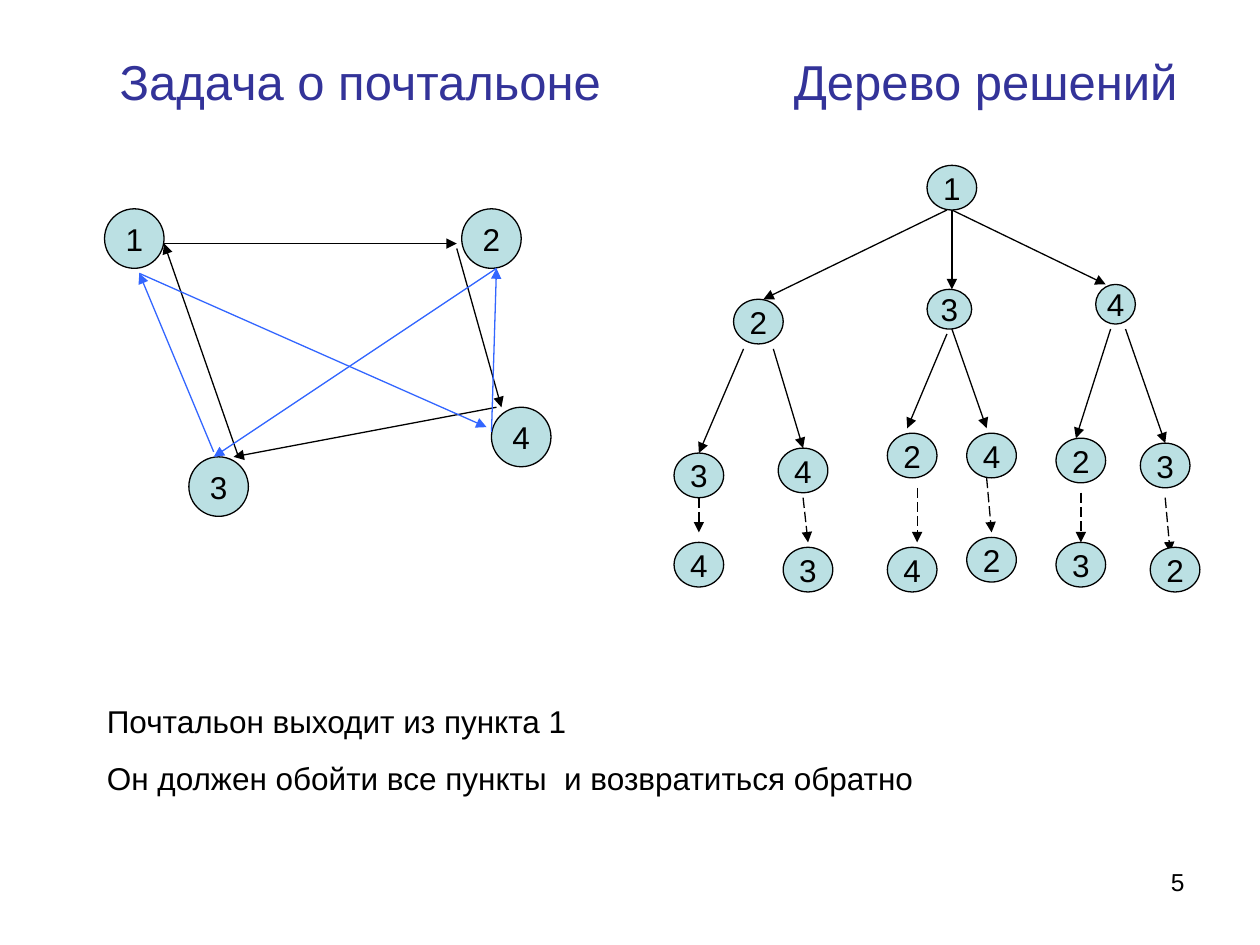
from lxml import etree
from pptx import Presentation
from pptx import util as u
from pptx.dml import color
from pptx.enum import dml, shapes, text
from pptx.oxml import ns

WIDTH, HEIGHT = u.Inches(10), u.Inches(7.5)
CELL = WIDTH / 254
BLACK, BLUE, NAVY, AQUA = "000000", "3366FF", "333399", "BBE0E3"

GRAPH_NODES = [("1", 0, 0), ("2", 72, 0), ("3", 17, 50), ("4", 78, 40)]
GRAPH_ROUTES = {
    BLACK: [(12, 7, 71, 7), (71, 8, 80, 40), (79, 40, 26, 50), (27, 50, 12, 7)],
    BLUE: [(7, 13, 77, 44), (78, 45, 79, 12), (79, 12, 22, 50), (22, 49, 7, 13)],
}
TREE_NODES = [
    ("1", 51, 0, 10, 9),
    ("2", 12, 27, 10, 9), ("3", 51, 25, 9, 8), ("4", 85, 24, 8, 8),
    ("3", 0, 58, 10, 9), ("4", 21, 57, 10, 9), ("2", 43, 54, 10, 9),
    ("4", 59, 54, 10, 9), ("2", 77, 55, 10, 9), ("3", 94, 56, 10, 9),
    ("4", 0, 76, 10, 9), ("3", 22, 77, 10, 9), ("4", 43, 77, 10, 9),
    ("2", 59, 75, 10, 9), ("3", 77, 76, 10, 9), ("2", 96, 77, 10, 9),
]
TREE_BRANCHES = [
    (55, 9, 18, 27), (56, 9, 56, 25), (56, 9, 87, 24),
    (14, 37, 5, 58), (20, 37, 26, 57), (55, 34, 47, 53),
    (56, 33, 63, 53), (88, 33, 81, 55), (91, 33, 99, 56),
]
TREE_LAST_STEPS = [
    (5, 67, 5, 74), (26, 67, 27, 76), (49, 65, 49, 76),
    (63, 63, 64, 74), (82, 66, 82, 76), (99, 67, 100, 78),
]


def rgb(value):
    """Return the colour for a hex string."""
    return color.RGBColor.from_string(value)


def share(x, y, w, h):
    """Return a box given as shares of the slide's size."""
    return [round(v) for v in (x * WIDTH, y * HEIGHT, w * WIDTH, h * HEIGHT)]


def assign(obj, values):
    """Set attributes of an object from a dict."""
    for name, value in values.items():
        setattr(obj, name, value)


def write(p, words, size, hue=BLACK, **fmt):
    """Write one formatted run into a paragraph."""
    r = p.add_run()
    r.text = words
    assign(r.font, {"name": "Arial", "size": u.Pt(size), "bold": False})
    r.font.color.rgb = rgb(hue)
    assign(p, fmt)


def add_node(s, origin, label, col, row, cols, rows):
    """Place a numbered point on the grid that starts at origin."""
    left, top = origin
    sp = s.shapes.add_shape(
        shapes.MSO_SHAPE.FLOWCHART_CONNECTOR, round(left + col * CELL),
        round(top + row * CELL), round(cols * CELL), round(rows * CELL))
    sp.shadow.inherit = False
    sp.fill.solid()
    sp.fill.fore_color.rgb = rgb(AQUA)
    sp.line.color.rgb = rgb(BLACK)
    sp.line.width = u.Pt(0.75)
    tf = sp.text_frame
    assign(tf, {"word_wrap": False, "vertical_anchor": text.MSO_ANCHOR.MIDDLE})
    write(tf.paragraphs[0], label, 18, alignment=text.PP_ALIGN.CENTER)


def add_arrow(s, origin, ends, hue=BLACK, dash=None):
    """Draw an arrow between two grid points."""
    left, top = origin
    x1, y1, x2, y2 = (round(start + n * CELL)
                      for start, n in zip((left, top, left, top), ends))
    sp = s.shapes.add_connector(shapes.MSO_CONNECTOR.STRAIGHT, x1, y1, x2, y2)
    sp.line.color.rgb = rgb(hue)
    assign(sp.line, {"width": u.Pt(0.75), "dash_style": dash})
    etree.SubElement(sp.line._get_or_add_ln(), ns.qn("a:tailEnd"), type="triangle")
    etree.SubElement(sp._element.spPr, ns.qn("a:effectLst"))


def add_title(s, box, left_title, right_title):
    """Format the title with its second half at a tab stop."""
    sp = s.shapes.title
    assign(sp, dict(zip(("left", "top", "width", "height"), box)))
    tf = sp.text_frame
    assign(tf, {"vertical_anchor": text.MSO_ANCHOR.MIDDLE, "word_wrap": True})
    p = tf.paragraphs[0]
    write(p, f"{left_title}\t{right_title}", 28, NAVY, alignment=text.PP_ALIGN.LEFT)
    pPr = p._p.get_or_add_pPr()
    pPr.set("marL", str(u.Inches(0.35)))
    tabs = etree.SubElement(pPr, ns.qn("a:tabLst"))
    etree.SubElement(tabs, ns.qn("a:tab"), pos=str(u.Inches(5.35)), algn="l")


def add_graph(s, box):
    """Draw the four points and the two round routes."""
    origin = box[:2]
    for label, col, row in GRAPH_NODES:
        add_node(s, origin, label, col, row, 12, 12)
    for hue, route in GRAPH_ROUTES.items():
        for ends in route:
            add_arrow(s, origin, ends, hue)


def add_tree(s, box):
    """Draw the decision tree with dashed last steps."""
    origin = box[:2]
    for ends in TREE_BRANCHES:
        add_arrow(s, origin, ends)
    for ends in TREE_LAST_STEPS:
        add_arrow(s, origin, ends, dash=dml.MSO_LINE.LONG_DASH)
    for node in TREE_NODES:
        add_node(s, origin, *node)


def add_text(s, box, lines, size, **fmt):
    """Add a wrapped text box with one paragraph per line."""
    tf = s.shapes.add_textbox(*box).text_frame
    tf.word_wrap = True
    for i, line in enumerate(lines):
        p = tf.add_paragraph() if i else tf.paragraphs[0]
        write(p, line, size, **fmt)


def main():
    """Build and save the slide."""
    prs = Presentation()
    assign(prs, {"slide_width": WIDTH, "slide_height": HEIGHT})
    s = prs.slides.add_slide(prs.slide_layouts[5])
    add_title(s, share(0.05, 0.04, 0.9, 0.092), "Задача о почтальоне", "Дерево решений")
    add_graph(s, share(0.083, 0.221, 0.354, 0.325))
    add_tree(s, share(0.535, 0.175, 0.417, 0.451))
    add_text(s, share(0.075, 0.736, 0.823, 0.236),
             ["Почтальон выходит из пункта 1",
              "Он должен обойти все пункты  и возвратиться обратно"],
             18, space_before=u.Pt(11.2))
    add_text(s, share(0.717, 0.911, 0.233, 0.069), ["5"], 14,
             alignment=text.PP_ALIGN.RIGHT)
    prs.save("out.pptx")


if __name__ == "__main__":
    main()
